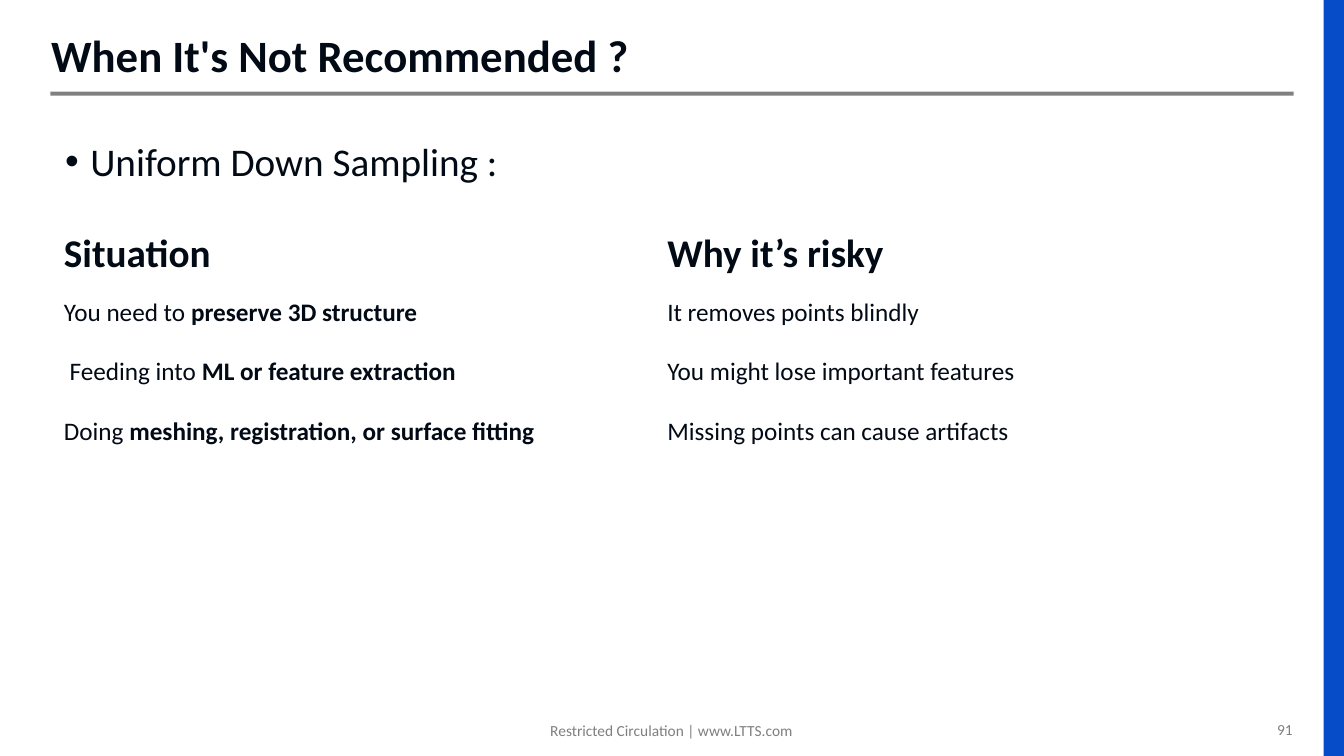
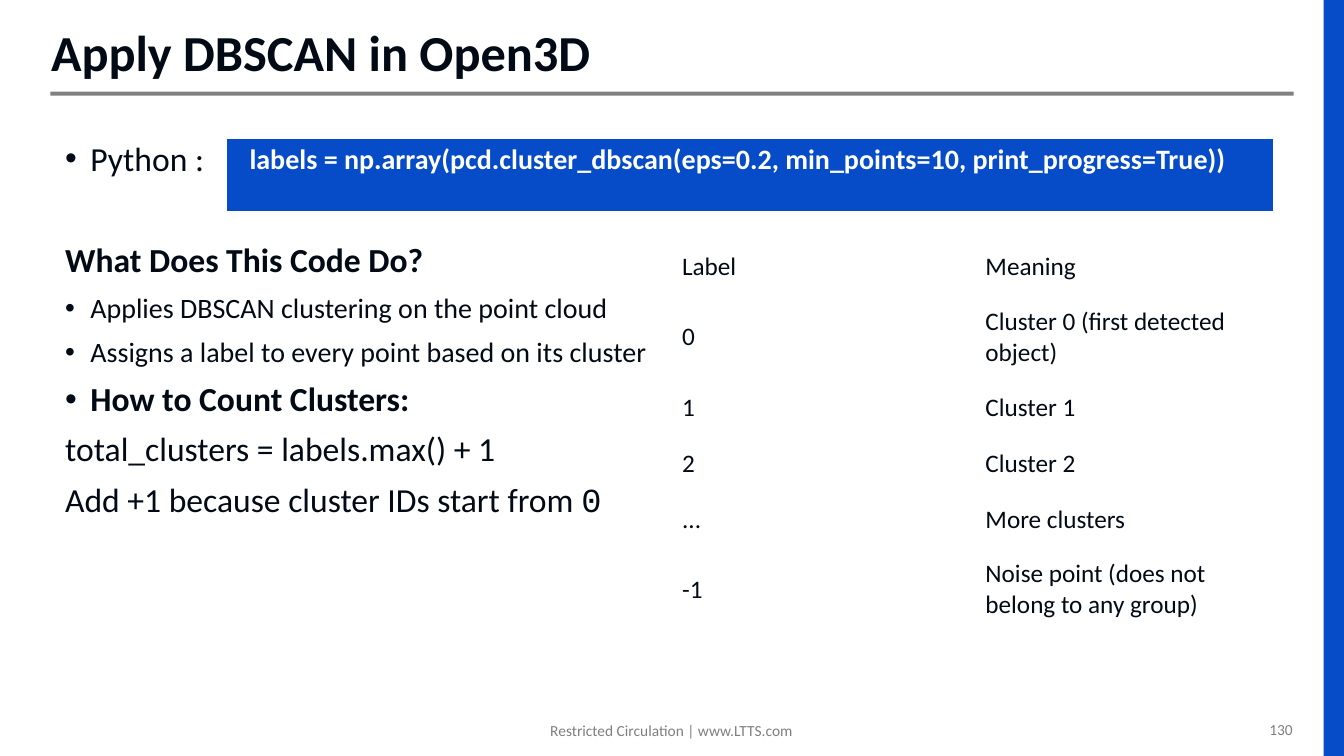
from pptx import Presentation
from pptx.dml.color import RGBColor
from pptx.enum.shapes import MSO_SHAPE
from pptx.enum.text import MSO_ANCHOR, MSO_AUTO_SIZE, PP_ALIGN
from pptx.util import Pt
from lxml import etree

INK = RGBColor(0x02, 0x0B, 0x15)
BLUE = RGBColor(0x06, 0x4C, 0xC8)
RULE_GRAY = RGBColor(0x80, 0x80, 0x80)
FOOTER_GRAY = RGBColor(0x7F, 0x7F, 0x7F)
WHITE = RGBColor(0xFF, 0xFF, 0xFF)
LEFT, CENTER, RIGHT = PP_ALIGN.LEFT, PP_ALIGN.CENTER, PP_ALIGN.RIGHT
RECTANGLE = MSO_SHAPE.RECTANGLE
MIDDLE, BOTTOM = MSO_ANCHOR.MIDDLE, MSO_ANCHOR.BOTTOM
NO_AUTOFIT = MSO_AUTO_SIZE.NONE
DRAWING = "{http://schemas.openxmlformats.org/drawingml/2006/main}"
FONT = "Calibri"
MONO = "Courier New"


def write(text, frame, size=18, bold=False, color=INK, align=LEFT,
          spacing=None, bullet=False, mono_tail=""):
    paragraph = frame.paragraphs[0]
    if paragraph.runs:
        paragraph = frame.add_paragraph()
        paragraph.space_before = Pt(10)
    paragraph.alignment = align
    paragraph.line_spacing = spacing
    if bullet:
        properties = paragraph._p.get_or_add_pPr()
        properties.set("marL", str(Pt(18)))
        properties.set("indent", str(-Pt(18)))
        etree.SubElement(properties, DRAWING + "buFont", typeface="Arial")
        etree.SubElement(properties, DRAWING + "buChar", char="•")
    pieces = [(piece, FONT, bold or index % 2 == 1)
              for index, piece in enumerate(text.split("**"))]
    pieces.append((mono_tail, MONO, bold))
    for piece, font_name, is_bold in pieces:
        if piece:
            run = paragraph.add_run()
            run.text = piece
            run.font.name = font_name
            run.font.size = Pt(size)
            run.font.bold = is_bold
            run.font.color.rgb = color


def add_grid(slide, rows, left, top, widths, heights, header_size=18, header_bold=False):
    grid = slide.shapes.add_table(len(rows), len(widths), Pt(left), Pt(top),
                                  Pt(sum(widths)), Pt(sum(heights))).table
    grid.first_row = False
    grid.horz_banding = False
    for column, width in zip(grid.columns, widths):
        column.width = Pt(width)
    for index, (row, height) in enumerate(zip(rows, heights)):
        grid.rows[index].height = Pt(height)
        for column_index, text in enumerate(row):
            cell = grid.cell(index, column_index)
            cell.fill.background()
            cell.vertical_anchor = MIDDLE
            header = index == 0
            write(text, cell.text_frame, size=header_size if header else 18,
                  bold=header and header_bold)


deck = Presentation()
deck.slide_width, deck.slide_height = Pt(960), Pt(540)

slides = []
for heading, heading_size, number in [
    ("When It's Not Recommended ?", 32, "91"),
    ("Apply DBSCAN in Open3D", 36, "130"),
]:
    slide = deck.slides.add_slide(deck.slide_layouts[5])
    slides.append(slide)

    for text, left, top, width, align, wrap in [
        (number, 882, 510.5, 48.5, RIGHT, True),
        ("Restricted Circulation | www.LTTS.com", 384.5, 511.5, 190.5, CENTER, False),
    ]:
        footer = slide.shapes.add_textbox(Pt(left), Pt(top), Pt(width), Pt(21)).text_frame
        footer.word_wrap = wrap
        write(text, footer, size=11, color=FOOTER_GRAY, align=align)

    for left, top, width, height, color in [
        (36, 65.5, 888, 2.75, RULE_GRAY),
        (945.5, 0, 14.5, 540, BLUE),
    ]:
        band = slide.shapes.add_shape(RECTANGLE, Pt(left), Pt(top), Pt(width), Pt(height))
        band.shadow.inherit = False
        band.fill.solid()
        band.fill.fore_color.rgb = color
        band.line.fill.background()

    title = slide.shapes.title
    title.left, title.top, title.width, title.height = Pt(36.5), Pt(19.5), Pt(888), Pt(43)
    title_frame = title.text_frame
    title_frame.auto_size = NO_AUTOFIT
    title_frame.word_wrap = True
    title_frame.vertical_anchor = BOTTOM
    title_frame.margin_left = title_frame.margin_right = 0
    write(heading, title_frame, size=heading_size, bold=True, spacing=0.9)

risk_slide, dbscan_slide = slides

for slide, top, width, height, lines in [
    (risk_slide, 98, 885, 45, [
        ("Uniform Down Sampling :", dict(size=28, bullet=True)),
    ]),
    (dbscan_slide, 98, 120, 40, [
        ("Python :", dict(size=24, bullet=True)),
    ]),
    (dbscan_slide, 170.5, 440, 300, [
        ("What Does This Code Do?", dict(size=24, bold=True)),
        ("Applies DBSCAN clustering on the point cloud", dict(size=20, bullet=True)),
        ("Assigns a label to every point based on its cluster", dict(size=20, bullet=True)),
        ("How to Count Clusters:", dict(size=24, bold=True, bullet=True)),
        ("total_clusters = labels.max() + 1", dict(size=24)),
        ("Add +1 because cluster IDs start from ", dict(size=24, mono_tail="0")),
    ]),
]:
    body = slide.shapes.add_textbox(Pt(39.5), Pt(top), Pt(width), Pt(height)).text_frame
    body.word_wrap = True
    for text, style in lines:
        write(text, body, spacing=0.9, **style)

risks = [
    ("Situation", "Why it’s risky"),
    ("You need to **preserve 3D structure**", "It removes points blindly"),
    (" Feeding into **ML or feature extraction**", "You might lose important features"),
    ("Doing **meshing, registration, or surface fitting**", "Missing points can cause artifacts"),
]
add_grid(risk_slide, risks, 38.5, 160.5, [431, 382], [42.2] * 4,
         header_size=28, header_bold=True)

code_table = dbscan_slide.shapes.add_table(1, 1, Pt(162), Pt(98.5), Pt(747.5), Pt(53)).table
code_cell = code_table.cell(0, 0)
code_cell.fill.solid()
code_cell.fill.fore_color.rgb = BLUE
code_cell.margin_left = Pt(16.25)
write("labels = np.array(pcd.cluster_dbscan(eps=0.2, min_points=10, print_progress=True))",
      code_cell.text_frame, size=20, bold=True, color=WHITE)

label_meanings = [
    ("Label", "Meaning"),
    ("0", "Cluster 0 (first detected object)"),
    ("1", "Cluster 1"),
    ("2", "Cluster 2"),
    ("...", "More clusters"),
    ("-1", "Noise point (does not belong to any group)"),
]
add_grid(dbscan_slide, label_meanings, 480, 170.5, [216.75] * 2,
         [40, 60.5, 40, 40, 40, 60.5])

deck.save("out.pptx")
